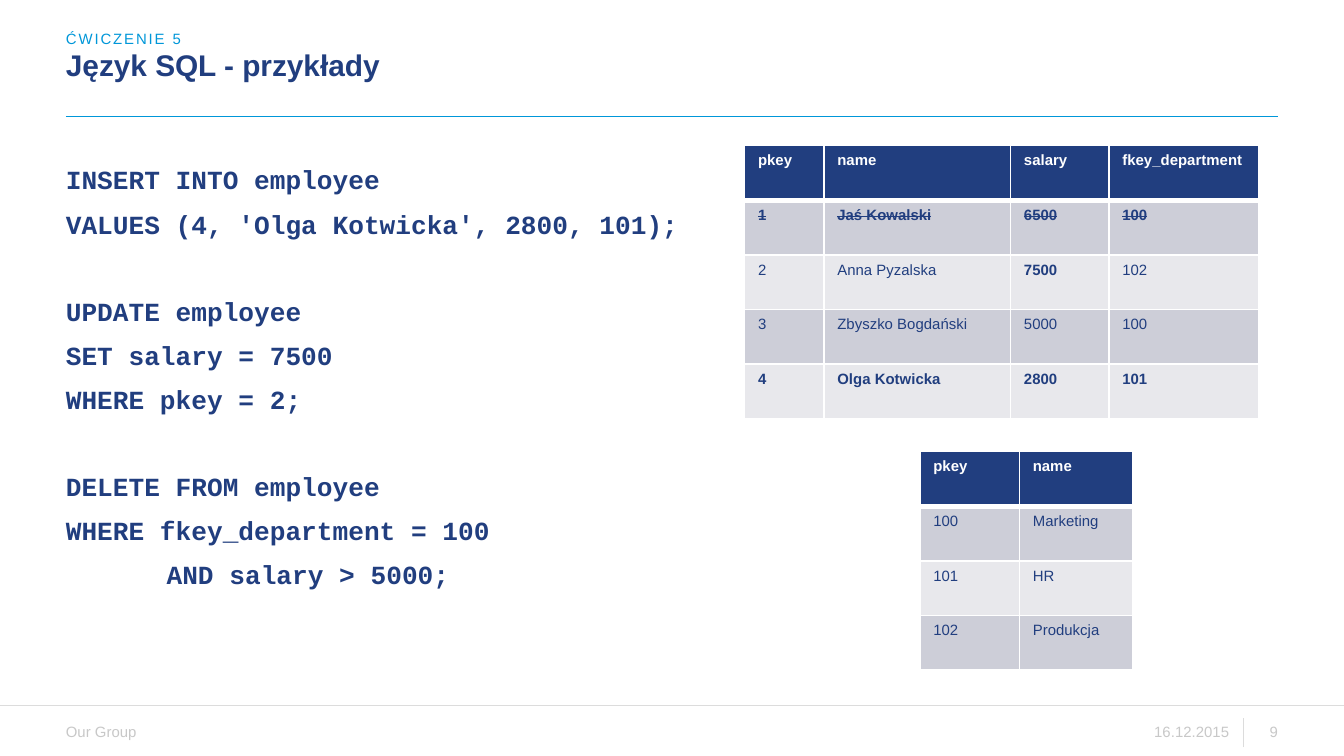
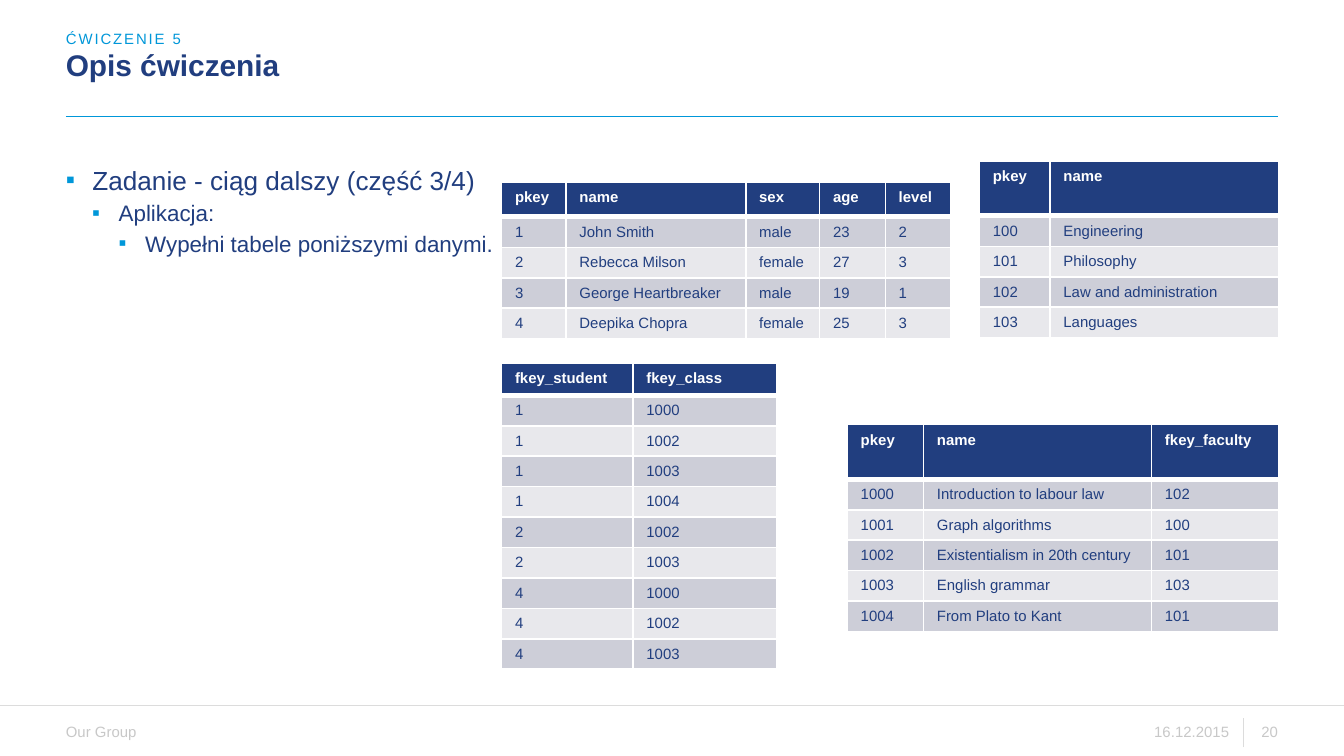
import pptx
import pptx.dml.color
import pptx.enum.shapes
import pptx.enum.text
import pptx.oxml
import pptx.oxml.ns
import pptx.util
from lxml import etree

Pt = pptx.util.Pt
ALIGN = pptx.enum.text.PP_ALIGN
ANCHOR = pptx.enum.text.MSO_ANCHOR
AUTO_SIZE = pptx.enum.text.MSO_AUTO_SIZE

NAVY, CYAN, WHITE = "213E7F", "0097D9", "FFFFFF"
RULE_GRAY, FOOTER_GRAY = "DCDCDC", "C8C8C8"
BANDS = ("CDCED8", "E8E8EC")
SANS, MONO = "Arial", "Courier New"
LEFT, RIGHT = 35.3, 684.7

KICKER = "ĆWICZENIE 5"
COMPANY = "Our Group"
DATE = "16.12.2015"

STATEMENTS = [
    ["INSERT INTO employee", "VALUES (4, 'Olga Kotwicka', 2800, 101);"],
    ["UPDATE employee", "SET salary = 7500", "WHERE pkey = 2;"],
    ["DELETE FROM employee", "WHERE fkey_department = 100", "AND salary > 5000;"],
]

TASK = ["Zadanie - ciąg dalszy (część 3/4)", "Aplikacja:",
        "Wypełni tabele poniższymi danymi."]
TASK_LEVELS = [(14, 6, 14.2), (12, 2, 28.3), (12, 2, 42.5)]

DEPARTMENTS = {
    "at": (492.8, 241.9), "columns": (53.3, 61), "heights": (29.3, 29.3),
    "rows": [("pkey", "name"), ("100", "Marketing"), ("101", "HR"), ("102", "Produkcja")],
}
EMPLOYEES = {
    "at": (398.9, 78), "columns": (42.5, 100, 52.7, 80.4), "heights": (29.3, 29.3),
    "rows": [
        ("pkey", "name", "salary", "fkey_department"),
        ("1", "Jaś Kowalski", "6500", "100"),
        ("2", "Anna Pyzalska", "7500", "102"),
        ("3", "Zbyszko Bogdański", "5000", "100"),
        ("4", "Olga Kotwicka", "2800", "101"),
    ],
    "deleted": {1}, "inserted": {4}, "updated": {(2, 2)},
}
STUDENTS = {
    "at": (268.7, 97.5), "columns": (34.5, 96.3, 39.6, 35.2, 35.2), "heights": (18.7, 16.3),
    "rows": [
        ("pkey", "name", "sex", "age", "level"),
        ("1", "John Smith", "male", "23", "2"),
        ("2", "Rebecca Milson", "female", "27", "3"),
        ("3", "George Heartbreaker", "male", "19", "1"),
        ("4", "Deepika Chopra", "female", "25", "3"),
    ],
}
ENROLMENTS = {
    "at": (268.7, 194.5), "columns": (70.4, 77), "heights": (17.3, 16.3),
    "rows": [
        ("fkey_student", "fkey_class"),
        ("1", "1000"), ("1", "1002"), ("1", "1003"), ("1", "1004"),
        ("2", "1002"), ("2", "1003"),
        ("4", "1000"), ("4", "1002"), ("4", "1003"),
    ],
}
FACULTIES = {
    "at": (524.7, 86.4), "columns": (37.8, 122.4), "heights": (29.3, 16.3),
    "rows": [("pkey", "name"), ("100", "Engineering"), ("101", "Philosophy"),
             ("102", "Law and administration"), ("103", "Languages")],
}
CLASSES = {
    "at": (453.9, 227.5), "columns": (40.8, 122.2, 68), "heights": (29.3, 16.3),
    "rows": [
        ("pkey", "name", "fkey_faculty"),
        ("1000", "Introduction to labour law", "102"),
        ("1001", "Graph algorithms", "100"),
        ("1002", "Existentialism in 20th century", "101"),
        ("1003", "English grammar", "103"),
        ("1004", "From Plato to Kant", "101"),
    ],
}


def color(value):
    return pptx.dml.color.RGBColor.from_string(value)


def add_xml(parent, tag, **attributes):
    return etree.SubElement(parent, pptx.oxml.ns.qn(tag), attributes)


def style(paragraph, size, ink, bold=False, face=SANS):
    for run in paragraph.runs:
        run.font.name, run.font.size, run.font.bold = face, Pt(size), bold
        run.font.color.rgb = color(ink)


def place(shape, left, top, width, height, anchor=ANCHOR.TOP, wrap=True):
    shape.left, shape.top, shape.width, shape.height = map(Pt, (left, top, width, height))
    frame = shape.text_frame
    frame.margin_left = frame.margin_top = frame.margin_right = frame.margin_bottom = 0
    frame.word_wrap = wrap
    frame.auto_size = AUTO_SIZE.NONE
    frame.vertical_anchor = anchor
    return frame


def indent(paragraph, margin, hanging=0):
    properties = paragraph._p.get_or_add_pPr()
    properties.set("marL", str(Pt(margin)))
    properties.set("indent", str(Pt(-hanging)))
    return properties


def add_rule(slide, x1, y1, x2, y2, ink):
    rule = slide.shapes.add_connector(
        pptx.enum.shapes.MSO_CONNECTOR.STRAIGHT, Pt(x1), Pt(y1), Pt(x2), Pt(y2))
    rule.line.color.rgb = color(ink)
    rule.line.width = Pt(0.75)
    add_xml(rule._element.spPr, "a:effectLst")


def add_footer(slide, text, left, width, align):
    box = slide.shapes.add_textbox(0, 0, 0, 0)
    frame = place(box, left, 387.4, width, 9.4, ANCHOR.MIDDLE, False)
    frame.text = text
    frame.paragraphs[0].alignment = align
    style(frame.paragraphs[0], 8, FOOTER_GRAY)


def add_page(deck, layout, title, number):
    slide = deck.slides.add_slide(deck.slide_layouts.get_by_name(layout))
    add_rule(slide, LEFT, 62.5, RIGHT, 62.5, CYAN)
    add_rule(slide, -2, 378, 722, 378, RULE_GRAY)
    add_rule(slide, 666, 400.3, 666, 384.5, RULE_GRAY)
    add_footer(slide, COMPANY, LEFT, 41, ALIGN.LEFT)
    add_footer(slide, DATE, 617.6, 41, ALIGN.RIGHT)
    add_footer(slide, str(number), 668.7, 16, ALIGN.RIGHT)

    heading = place(slide.shapes.title, LEFT, 27.4, 527, 17.3)
    heading.text = title
    heading.paragraphs[0].alignment = ALIGN.LEFT
    heading.paragraphs[0].line_spacing = Pt(17)
    style(heading.paragraphs[0], 16, NAVY, True)

    kicker = place(slide.placeholders[1], LEFT, 15.9, 527, 9.4, ANCHOR.BOTTOM)
    kicker.text = KICKER
    line = kicker.paragraphs[0]
    line.space_before = Pt(0)
    add_xml(indent(line, 0), "a:buNone")
    style(line, 8, CYAN)
    line.runs[0].font._element.set("spc", "100")
    return slide


def add_statements(slide):
    frame = place(slide.shapes.add_textbox(0, 0, 0, 0), LEFT, 87.8, 364.3, 268.6)
    frame.text = "\n".join(line for statement in STATEMENTS for line in statement)
    openings = {statement[0] for statement in STATEMENTS[1:]}
    for paragraph in frame.paragraphs:
        paragraph.space_before = Pt(29.7 if paragraph.text in openings else 6.9)
        if paragraph.text.startswith("AND"):
            indent(paragraph, 54)
        style(paragraph, 14, NAVY, True, MONO)


def add_task(slide):
    frame = place(slide.placeholders[2], LEFT, 87.8, 365, 265)
    frame.text = "\n".join(TASK)
    for level, (size, before, margin) in enumerate(TASK_LEVELS):
        paragraph = frame.paragraphs[level]
        paragraph.level = level
        paragraph.space_before = Pt(before)
        properties = indent(paragraph, margin, 14.2)
        add_xml(add_xml(properties, "a:buClr"), "a:srgbClr", val=CYAN)
        add_xml(properties, "a:buFont", typeface=SANS)
        add_xml(properties, "a:buChar", char="▪")
        style(paragraph, size, NAVY)


def set_borders(cell, row):
    properties = cell._tc.get_or_add_tcPr()
    widths = {"L": 1, "R": 1, "T": 3 if row == 1 else 1, "B": 3 if row == 0 else 1}
    for position, (side, width) in enumerate(widths.items()):
        border = add_xml(properties, f"a:ln{side}", w=str(Pt(width)))
        add_xml(add_xml(border, "a:solidFill"), "a:srgbClr", val=WHITE)
        properties.insert(position, border)


def add_records(slide, records):
    rows, columns = records["rows"], records["columns"]
    header_height, row_height = records["heights"]
    heights = [header_height] + [row_height] * (len(rows) - 1)
    deleted = records.get("deleted", set())
    changed_rows = deleted | records.get("inserted", set())
    updated = records.get("updated", set())
    left, top = records["at"]
    grid = slide.shapes.add_table(
        len(rows), len(columns), Pt(left), Pt(top), Pt(sum(columns)), Pt(sum(heights))).table
    for column, width in enumerate(columns):
        grid.columns[column].width = Pt(width)
    for row, values in enumerate(rows):
        grid.rows[row].height = Pt(heights[row])
        for column, value in enumerate(values):
            cell = grid.cell(row, column)
            cell.text = value
            cell.fill.solid()
            cell.fill.fore_color.rgb = color(BANDS[(row - 1) % 2] if row else NAVY)
            set_borders(cell, row)
            bold = row == 0 or row in changed_rows or (row, column) in updated
            paragraph = cell.text_frame.paragraphs[0]
            style(paragraph, 8, NAVY if row else WHITE, bold)
            if row in deleted:
                paragraph.runs[0].font._element.set("strike", "sngStrike")


def main():
    deck = pptx.Presentation()
    deck.slide_width, deck.slide_height = Pt(720), Pt(405)

    examples = add_page(deck, "Title and Content", "Język SQL - przykłady", 9)
    for records in (DEPARTMENTS, EMPLOYEES):
        add_records(examples, records)
    add_statements(examples)

    exercise = add_page(deck, "Two Content", "Opis ćwiczenia", 20)
    add_task(exercise)
    for records in (STUDENTS, ENROLMENTS, FACULTIES, CLASSES):
        add_records(exercise, records)

    deck.save("out.pptx")


if __name__ == "__main__":
    main()
